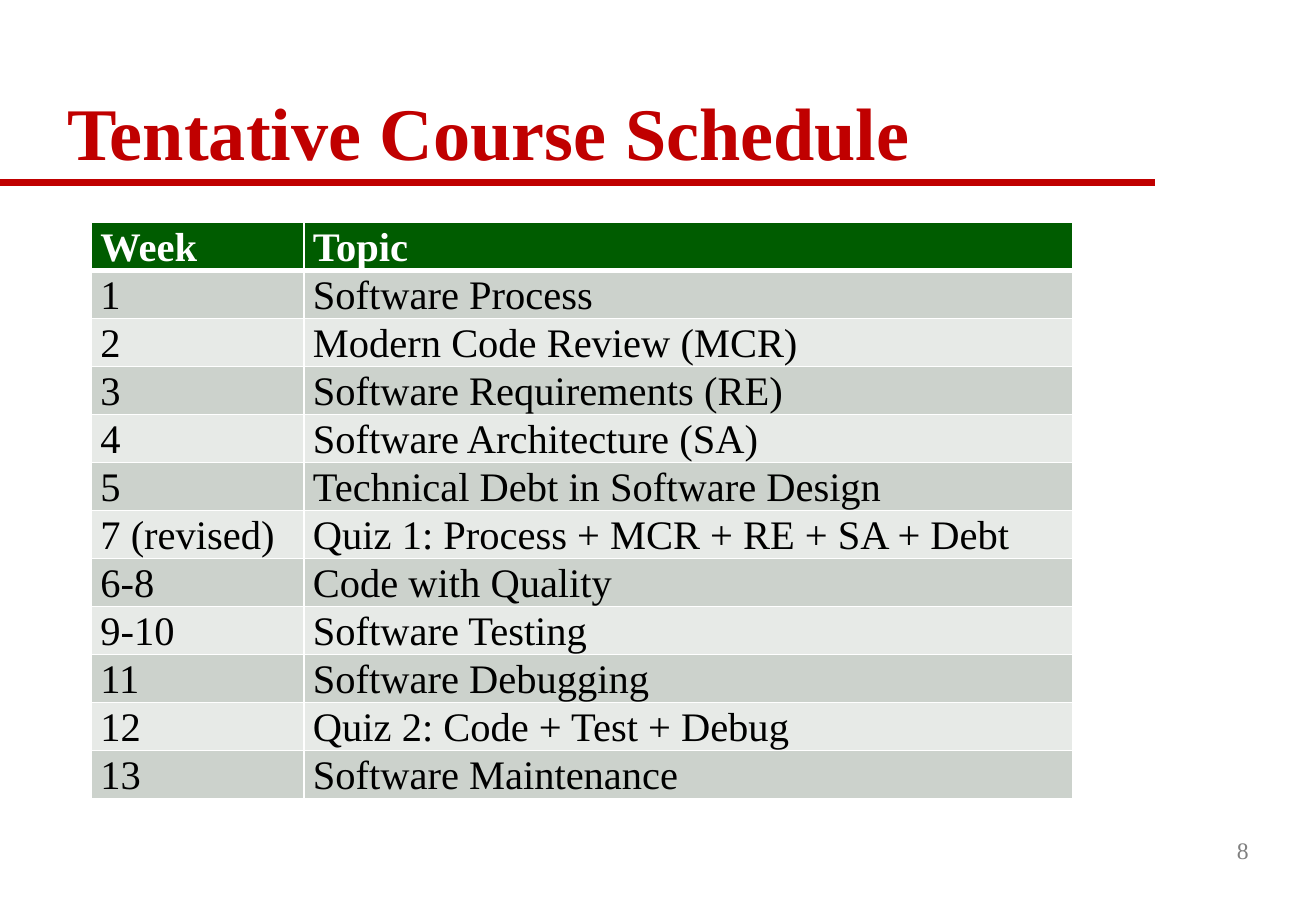
from lxml.etree import SubElement
from pptx import Presentation
from pptx.dml.color import RGBColor
from pptx.enum.shapes import MSO_CONNECTOR
from pptx.enum.text import MSO_ANCHOR, PP_ALIGN
from pptx.oxml.ns import qn
from pptx.util import Pt

FONT = "Times New Roman"
COLORS = {
    "accent": "C00000",
    "number": "808080",
    "header": "005C00",
    "band_dark": "CCD2CC",
    "band_light": "E7EAE7",
    "text": "000000",
    "white": "FFFFFF",
}
SCHEDULE = [
    ("Week", "Topic"),
    ("1", "Software Process"),
    ("2", "Modern Code Review (MCR)"),
    ("3", "Software Requirements (RE)"),
    ("4", "Software Architecture (SA)"),
    ("5", "Technical Debt in Software Design"),
    ("7 (revised)", "Quiz 1: Process + MCR + RE + SA + Debt"),
    ("6-8", "Code with Quality"),
    ("9-10", "Software Testing"),
    ("11", "Software Debugging"),
    ("12", "Quiz 2: Code + Test + Debug"),
    ("13", "Software Maintenance"),
]


def color(name):
    return RGBColor.from_string(COLORS[name])


def add_run(paragraph, text, size, color_name, bold=False):
    run = paragraph.add_run()
    run.text = text
    run.font.name = FONT
    run.font.size = Pt(size)
    run.font.bold = bold
    run.font.color.rgb = color(color_name)


def add_text_box(slide, box, anchor, wrap):
    """Add an empty text box and return its first paragraph."""
    shape = slide.shapes.add_textbox(*map(Pt, box))
    shape.text_frame.word_wrap = wrap
    shape.text_frame.vertical_anchor = anchor
    return shape.text_frame.paragraphs[0]


def add_title(slide, box, rule_width):
    """Place the title with a rule along the bottom of its box."""
    left, top, width, height = box
    bottom = Pt(top + height)
    rule = slide.shapes.add_connector(
        MSO_CONNECTOR.STRAIGHT, Pt(0), bottom, Pt(rule_width), bottom)
    rule.line.color.rgb = color("accent")
    rule.line.width = Pt(4)
    SubElement(rule._element.spPr, qn("a:effectLst"))
    paragraph = add_text_box(slide, box, MSO_ANCHOR.BOTTOM, True)
    paragraph.line_spacing = 0.9
    add_run(paragraph, "Tentative Course Schedule", 44, "accent", True)


def add_slide_number(slide, box):
    paragraph = add_text_box(slide, box, MSO_ANCHOR.MIDDLE, False)
    paragraph.alignment = PP_ALIGN.RIGHT
    add_run(paragraph, "8", 14, "number")


def set_borders(cell, widths):
    """Draw white borders, given widths for left, right, top and bottom."""
    properties = cell._tc.get_or_add_tcPr()
    for side, width in zip("LRTB", widths):
        line = SubElement(properties, qn(f"a:ln{side}"), w=str(Pt(width)))
        fill = SubElement(line, qn("a:solidFill"))
        SubElement(fill, qn("a:srgbClr"), val=COLORS["white"])


def fill_cell(cell, text, row, line_height):
    is_header = row == 0
    cell.margin_left = cell.margin_right = Pt(5.2)
    cell.margin_top = cell.margin_bottom = Pt(0)
    set_borders(cell, (1, 1, 3 if row == 1 else 1, 3 if is_header else 1))
    band = "band_dark" if row % 2 else "band_light"
    cell.fill.solid()
    cell.fill.fore_color.rgb = color("header" if is_header else band)
    paragraph = cell.text_frame.paragraphs[0]
    paragraph.line_spacing = Pt(line_height)
    add_run(paragraph, text, 24, "white" if is_header else "text", is_header)


def add_schedule(slide, box, week_width):
    left, top, width, height = box
    row_height = height / len(SCHEDULE)
    table = slide.shapes.add_table(len(SCHEDULE), 2, *map(Pt, box)).table
    table.columns[0].width = Pt(week_width)
    table.columns[1].width = Pt(width - week_width)
    for row, texts in enumerate(SCHEDULE):
        table.rows[row].height = Pt(row_height)
        for column, text in enumerate(texts):
            fill_cell(table.cell(row, column), text, row, row_height)


def main():
    presentation = Presentation()
    presentation.slide_width = Pt(780)
    presentation.slide_height = Pt(540)
    slide = presentation.slides.add_slide(presentation.slide_layouts[6])
    add_title(slide, (32.8, 21, 711, 87), 684.5)
    add_slide_number(slide, (584.6, 486, 162.7, 36))
    add_schedule(slide, (54.3, 132, 581.8, 340.8), 126)
    presentation.save("out.pptx")


if __name__ == "__main__":
    main()
